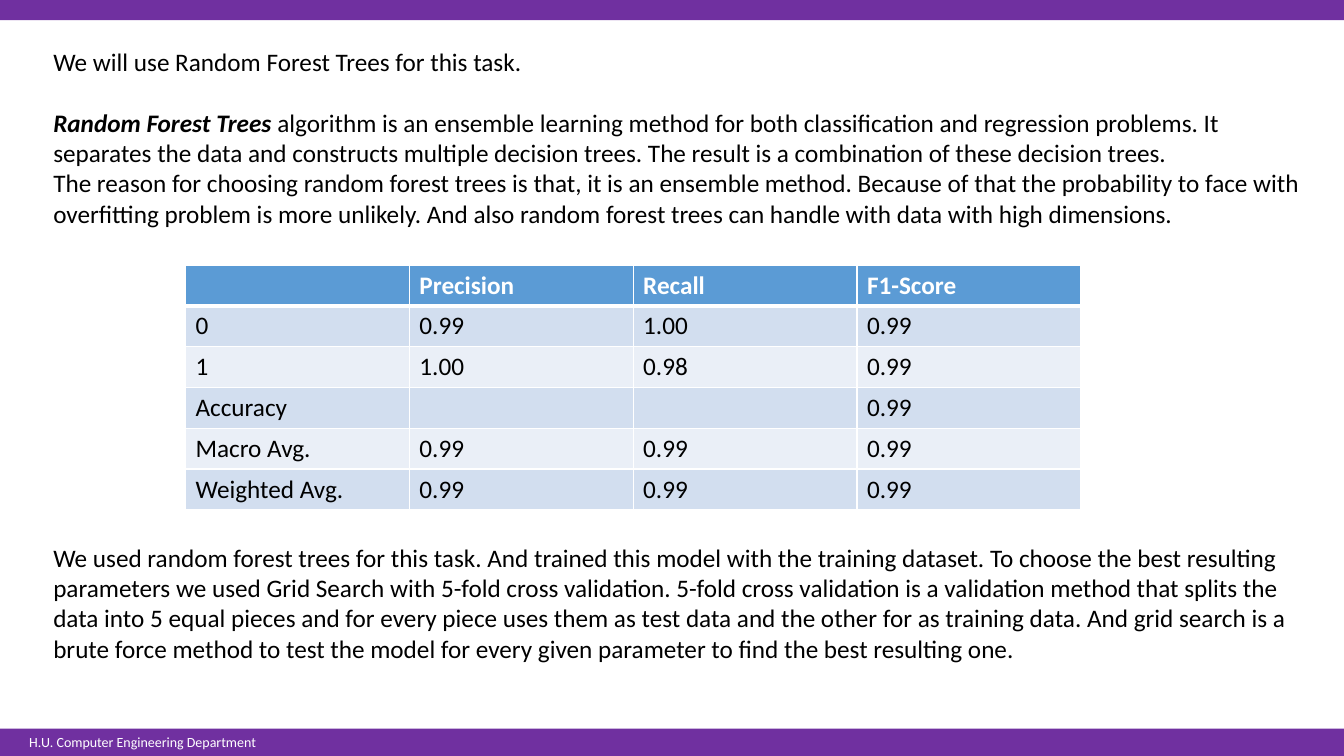
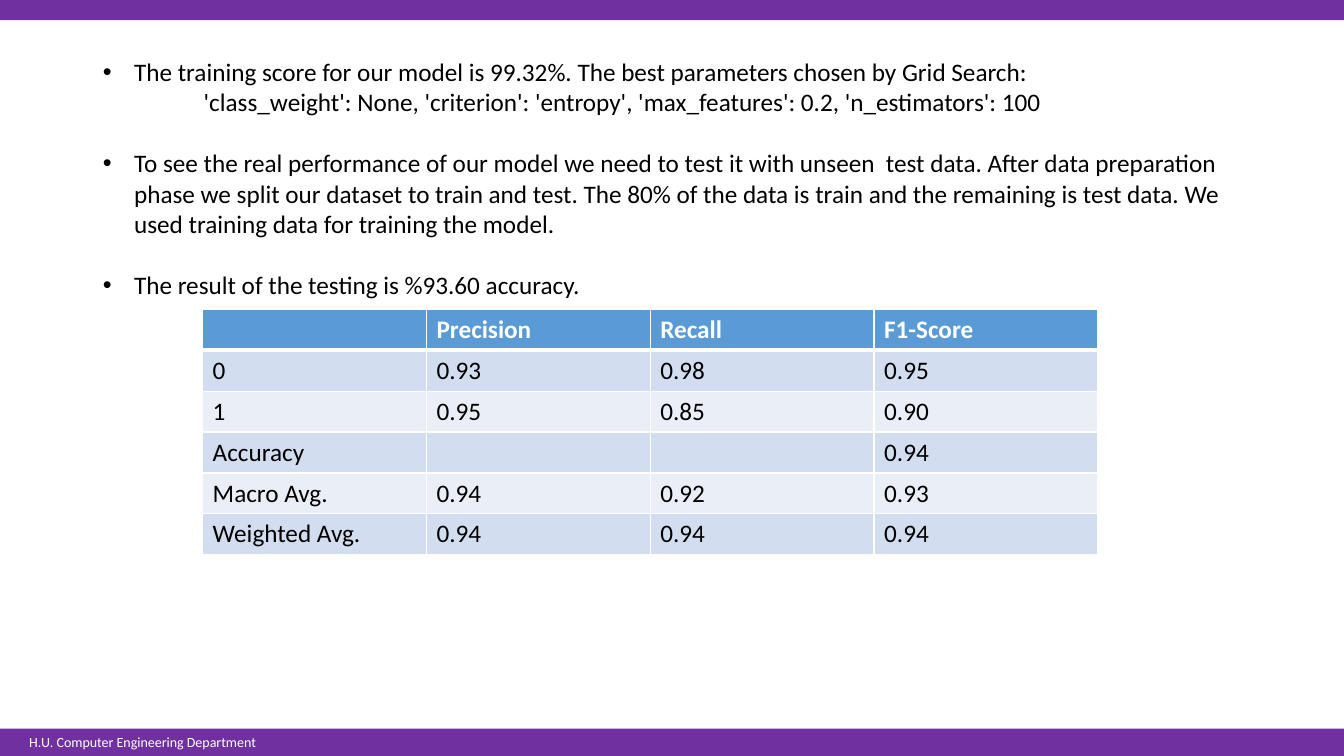
from lxml import etree
from pptx import Presentation
from pptx.dml.color import RGBColor
from pptx.enum.shapes import MSO_SHAPE as Shape
from pptx.enum.text import MSO_ANCHOR as Anchor, MSO_AUTO_SIZE as AutoSize
from pptx.oxml.ns import qn
from pptx.util import Inches, Pt

WIDTH, HEIGHT = 13.33, 7.5
TOP_BAND, FOOTER_BAND = 0.2, 0.27
PURPLE, WHITE, BLACK = "7030A0", "FFFFFF", "000000"
HEADER_FILL, ROW_FILLS = "5B9BD5", ("D2DEEF", "EAEFF7")
FONT, TEXT_SIZE, LINE_GAP = "Calibri", 18, 22
COLUMN_WIDTH, ROW_HEIGHT = 2.22, 0.405
BULLET_INDENT = 0.31

FOOTER = "H.U. Computer Engineering Department"

# Each paragraph is its runs (text, run format) and its paragraph format.
INTRODUCTION = [
    ([("We will use Random Forest Trees for this task.", {})], {}),
    ([("Random Forest Trees", {"bold": True, "italic": True}),
      (" algorithm is an ensemble learning method for both classification and "
       "regression problems. It separates the data and constructs multiple decision "
       "trees. The result is a combination of these decision trees.", {})],
     {"before": LINE_GAP}),
    ([("The reason for choosing random forest trees is that, it is an ensemble method. "
       "Because of that the probability to face with overfitting problem is more "
       "unlikely. And also random forest trees can handle with data with high "
       "dimensions.", {})], {}),
]
TRAINING = [
    ([("We used random forest trees for this task. And trained this model with the "
       "training dataset. To choose the best resulting parameters we used Grid Search "
       "with 5-fold cross validation. 5-fold cross validation is a validation method "
       "that splits the data into 5 equal pieces and for every piece uses them as test "
       "data and the other for as training data. And grid search is a brute force "
       "method to test the model for every given parameter to find the best resulting "
       "one.", {})], {}),
]
FINDINGS = [
    ([("The training score for our model is 99.32%. The best parameters chosen by Grid "
       "Search:", {})], {"bullet": True}),
    ([("'class_weight': None, 'criterion': 'entropy', 'max_features': 0.2, "
       "'n_estimators': 100", {})], {"indent": 1}),
    ([("To see the real performance of our model we need to test it with unseen  test "
       "data. After data preparation phase we split our dataset to train and test. The "
       "80% of the data is train and the remaining is test data. We used training data "
       "for training the model.", {})], {"bullet": True, "before": LINE_GAP}),
    ([("The result of the testing is %93.60 accuracy.", {})],
     {"bullet": True, "before": LINE_GAP}),
]

SCORE_HEADER = ("", "Precision", "Recall", "F1-Score")
TRAINING_SCORES = [
    ("0", "0.99", "1.00", "0.99"),
    ("1", "1.00", "0.98", "0.99"),
    ("Accuracy", "", "", "0.99"),
    ("Macro Avg.", "0.99", "0.99", "0.99"),
    ("Weighted Avg.", "0.99", "0.99", "0.99"),
]
TEST_SCORES = [
    ("0", "0.93", "0.98", "0.95"),
    ("1", "0.95", "0.85", "0.90"),
    ("Accuracy", "", "", "0.94"),
    ("Macro Avg.", "0.94", "0.92", "0.93"),
    ("Weighted Avg.", "0.94", "0.94", "0.94"),
]


def color(hex_code):
    return RGBColor.from_string(hex_code)


def add_run(paragraph, text, size=TEXT_SIZE, fill=BLACK, bold=False, italic=False):
    run = paragraph.add_run()
    run.text = text
    font = run.font
    font.name, font.size, font.bold, font.italic = FONT, Pt(size), bold, italic
    font.color.rgb = color(fill)


def format_paragraph(paragraph, before=0, indent=0, bullet=False):
    paragraph.space_before = Pt(before)
    properties = paragraph._p.get_or_add_pPr()
    hanging = BULLET_INDENT if bullet else 0
    properties.set("marL", str(Inches(indent + hanging)))
    properties.set("indent", str(-Inches(hanging)))
    if bullet:
        etree.SubElement(properties, qn("a:buFont"), typeface="Arial")
        etree.SubElement(properties, qn("a:buChar"), char="•")
    else:
        etree.SubElement(properties, qn("a:buNone"))


def write_paragraphs(shape, paragraphs):
    frame = shape.text_frame
    frame.word_wrap, frame.auto_size = True, AutoSize.NONE
    frame.vertical_anchor = Anchor.TOP
    for index, (runs, layout) in enumerate(paragraphs):
        paragraph = frame.add_paragraph() if index else frame.paragraphs[0]
        format_paragraph(paragraph, **layout)
        for text, style in runs:
            add_run(paragraph, text, **style)


def add_text(slide, paragraphs, *box):
    write_paragraphs(slide.shapes.add_textbox(*map(Inches, box)), paragraphs)


def set_borders(cell, **widths):
    """Draw white cell borders; widths are points by side (L, R, T, B)."""
    properties = cell._tc.get_or_add_tcPr()
    for side, width in widths.items():
        line = etree.SubElement(properties, qn(f"a:ln{side}"), w=str(Pt(width)))
        fill = etree.SubElement(line, qn("a:solidFill"))
        etree.SubElement(fill, qn("a:srgbClr"), val=WHITE)


def add_scores(slide, scores, left, top):
    rows = [SCORE_HEADER, *scores]
    columns = len(SCORE_HEADER)
    table = slide.shapes.add_table(
        len(rows), columns, Inches(left), Inches(top),
        Inches(columns * COLUMN_WIDTH), Inches(len(rows) * ROW_HEIGHT)).table
    for column in table.columns:
        column.width = Inches(COLUMN_WIDTH)
    for row_index, values in enumerate(rows):
        header = row_index == 0
        fill = HEADER_FILL if header else ROW_FILLS[(row_index - 1) % 2]
        for column_index, value in enumerate(values):
            cell = table.cell(row_index, column_index)
            set_borders(cell, L=1, R=1, T=3 if row_index == 1 else 1,
                        B=3 if header else 1)
            cell.fill.solid()
            cell.fill.fore_color.rgb = color(fill)
            if value:
                add_run(cell.text_frame.paragraphs[0], value, bold=header,
                        fill=WHITE if header else BLACK)


def add_bands(master, slide):
    """Draw the bands and footer on a slide, then move them to the master."""
    footer_top = HEIGHT - FOOTER_BAND
    parts = []
    for top, height in ((footer_top, FOOTER_BAND), (0, TOP_BAND)):
        band = slide.shapes.add_shape(
            Shape.RECTANGLE, 0, Inches(top), Inches(WIDTH), Inches(height))
        band.shadow.inherit = False
        band.fill.solid()
        band.fill.fore_color.rgb = color(PURPLE)
        band.line.fill.background()
        parts.append(band)
    footer = slide.shapes.add_textbox(
        Inches(0.19), Inches(footer_top), Inches(2.49), Inches(FOOTER_BAND))
    footer.text_frame.word_wrap = False
    add_run(footer.text_frame.paragraphs[0], FOOTER, size=10, fill=WHITE)
    for part in (*parts, footer):
        master.shapes.element.append(part.element)


def main():
    presentation = Presentation()
    presentation.slide_width, presentation.slide_height = Inches(WIDTH), Inches(HEIGHT)
    content_layout, blank_layout = (presentation.slide_layouts[i] for i in (1, 6))

    method = presentation.slides.add_slide(blank_layout)
    add_bands(presentation.slide_master, method)
    add_text(method, INTRODUCTION, 0.43, 0.41, 12.61, 2.22)
    add_scores(method, TRAINING_SCORES, 1.84, 2.63)
    add_text(method, TRAINING, 0.43, 5.33, 12.61, 1.31)

    results = presentation.slides.add_slide(content_layout)
    title, body = results.placeholders
    title.element.getparent().remove(title.element)
    body.left, body.top, body.width, body.height = map(Inches, (0.92, 0.51, 11.5, 2.52))
    write_paragraphs(body, FINDINGS)
    add_scores(results, TEST_SCORES, 2.01, 3.07)

    presentation.save("out.pptx")


if __name__ == "__main__":
    main()
